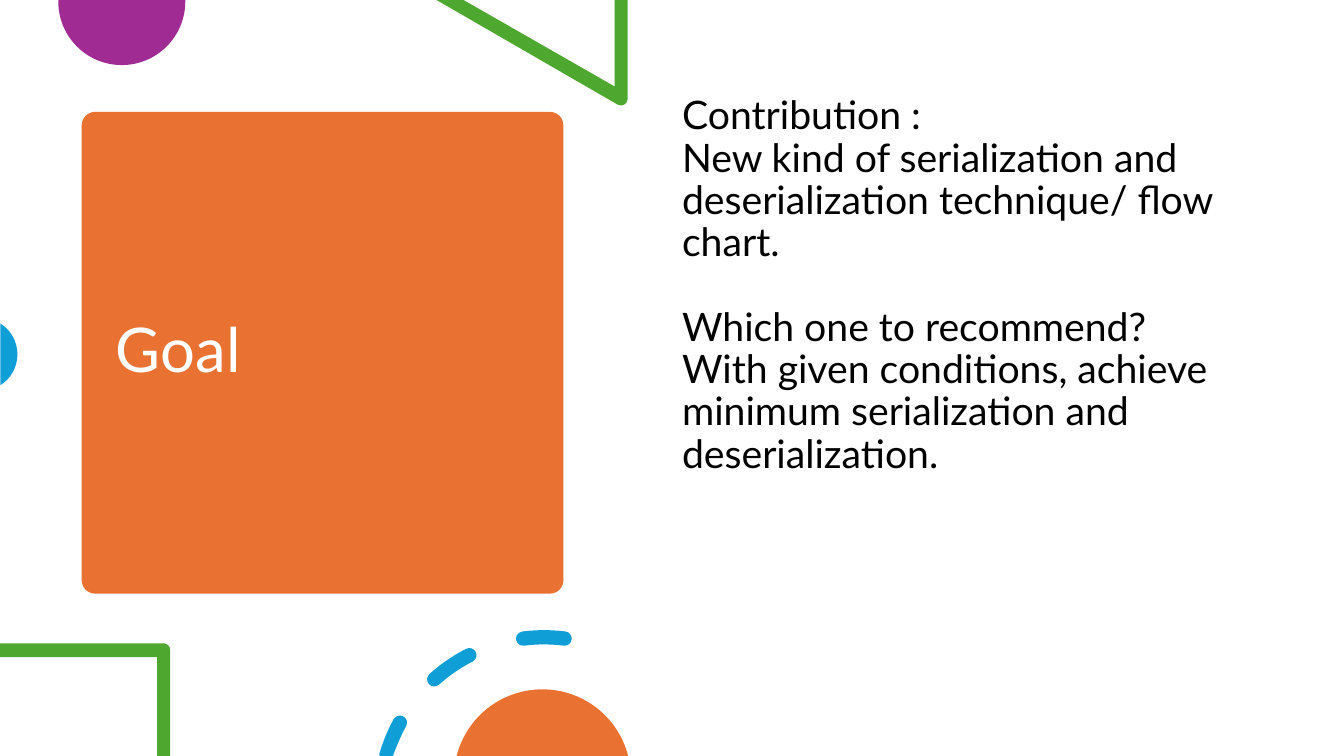
from math import ceil, cos, radians, sin, tan

from pptx import Presentation
from pptx.dml.color import RGBColor
from pptx.enum.shapes import MSO_SHAPE
from pptx.enum.text import MSO_ANCHOR
from pptx.oxml.ns import qn
from pptx.util import Cm, Pt

ROUNDED = MSO_SHAPE.ROUNDED_RECTANGLE
TOP, MIDDLE = MSO_ANCHOR.TOP, MSO_ANCHOR.MIDDLE
ORANGE, PURPLE, GREEN, BLUE = "E97132", "A02B93", "4EA72E", "0F9ED5"
SLIDE_WIDTH, SLIDE_HEIGHT = 33.87, 19.05

prs = Presentation()
prs.slide_width, prs.slide_height = Cm(SLIDE_WIDTH), Cm(SLIDE_HEIGHT)
slide = prs.slides.add_slide(prs.slide_layouts[6])


def arc(x, y, radius, start, end):
    """A start point, then Bezier segments of three points, in cm and clockwise degrees."""
    count = ceil(abs(end - start) / 90)
    step = radians(end - start) / count
    pull = 4 / 3 * tan(step / 4)
    segments = [[(x + radius * cos(radians(start)), y + radius * sin(radians(start)))]]
    for i in range(count):
        a = radians(start) + i * step
        b = a + step
        unit_points = [(cos(a) - pull * sin(a), sin(a) + pull * cos(a)),
                       (cos(b) + pull * sin(b), sin(b) - pull * cos(b)),
                       (cos(b), sin(b))]
        segments.append([(x + radius * u, y + radius * v) for u, v in unit_points])
    return segments


def paint(shape, color):
    shape.shadow.inherit = False
    shape.fill.solid()
    shape.fill.fore_color.rgb = RGBColor.from_string(color)
    shape.line.fill.background()


goal_card = slide.shapes.add_shape(ROUNDED, Cm(2.06), Cm(2.82), Cm(12.14), Cm(12.14))
goal_card.adjustments[0] = 0.028
paint(goal_card, ORANGE)

# Dashes of the ring: thick arcs with round ends, cut at the slide's bottom edge
RING_X, RING_Y, RING_RADIUS, HALF_WIDTH = 13.71, 20.2, 4.14, 0.18
dashes = []
for start, end in [(196, 208.7), (228.1, 243), (262.7, 277.2)]:
    [(start_x, start_y)], [*_, (end_x, end_y)] = arc(RING_X, RING_Y, RING_RADIUS, start, end)
    outline = (
        arc(RING_X, RING_Y, RING_RADIUS + HALF_WIDTH, start, end)
        + arc(end_x, end_y, HALF_WIDTH, end, end + 180)[1:]
        + arc(RING_X, RING_Y, RING_RADIUS - HALF_WIDTH, end, start)[1:]
        + arc(start_x, start_y, HALF_WIDTH, start + 180, start + 360)[1:]
    )
    dashes.append([[(x, min(y, SLIDE_HEIGHT)) for x, y in segment] for segment in outline])

purple_disc = [[(4.67, 0)], *arc(3.07, 0.04, 1.6, 0, 180), [(1.47, 0)]]
triangle = [[(15.82, 0)], [(15.49, 0)], [(15.49, 2.18)], [(11.68, 0)], [(11, 0)],
            *arc(15.65, 2.49, 0.17, 118, 0)]
blue_disc = arc(-0.48, 8.93, 0.92, -58, 58)
square = [[(0, 16.21)], *arc(4.12, 16.38, 0.17, 270, 360), [(4.29, SLIDE_HEIGHT)],
          [(3.96, SLIDE_HEIGHT)], [(3.96, 16.56)], [(0, 16.56)]]
orange_disc = arc(13.67, 19.6, 2.23, 194.3, 345.7)

decorations = [
    ([purple_disc], PURPLE),
    ([triangle], GREEN),
    ([blue_disc], BLUE),
    ([square], GREEN),
    (dashes, BLUE),
    ([orange_disc], ORANGE),
]
for outlines, color in decorations:
    builder = None
    for [(x, y)], *segments in outlines:
        if builder is None:
            builder = slide.shapes.build_freeform(Cm(x), Cm(y))
        else:
            builder.move_to(Cm(x), Cm(y))
        builder.add_line_segments([(Cm(px), Cm(py)) for points in segments for px, py in points])
    decoration = builder.convert_to_shape()
    paint(decoration, color)

    # Join the three points of each curved segment into one Bezier command
    line_nodes = iter(list(decoration._element.iter(qn("a:lnTo"))))
    for _, *segments in outlines:
        for points in segments:
            node, *rest = [next(line_nodes) for _ in points]
            if rest:
                node.tag = qn("a:cubicBezTo")
            for extra in rest:
                node.append(extra[0])
                extra.getparent().remove(extra)

contribution = ("Contribution :\vNew kind of serialization and deserialization "
                "technique/ flow chart.")
recommendation = ("Which one to recommend?\vWith given conditions, achieve minimum "
                  "serialization and deserialization.")
texts = [
    ((2.67, 3.1, 10.95, 11.58), ["Goal"], 44, "FFFFFF", MIDDLE),
    ((16.94, 2.29, 14.6, 13.59), [contribution, recommendation], 28, "000000", TOP),
]
for place, paragraphs, size, color, anchor in texts:
    frame = slide.shapes.add_textbox(*map(Cm, place)).text_frame
    frame.word_wrap = True
    frame.vertical_anchor = anchor
    frame.text = "\n".join(paragraphs)
    for index, paragraph in enumerate(frame.paragraphs):
        paragraph.text = paragraphs[index]
        paragraph.line_spacing = 0.9
        paragraph.space_before = Pt(30 if index else 0)
        for run in paragraph.runs:
            run.font.name = "Lato"
            run.font.size = Pt(size)
            run.font.color.rgb = RGBColor.from_string(color)

prs.save("out.pptx")
